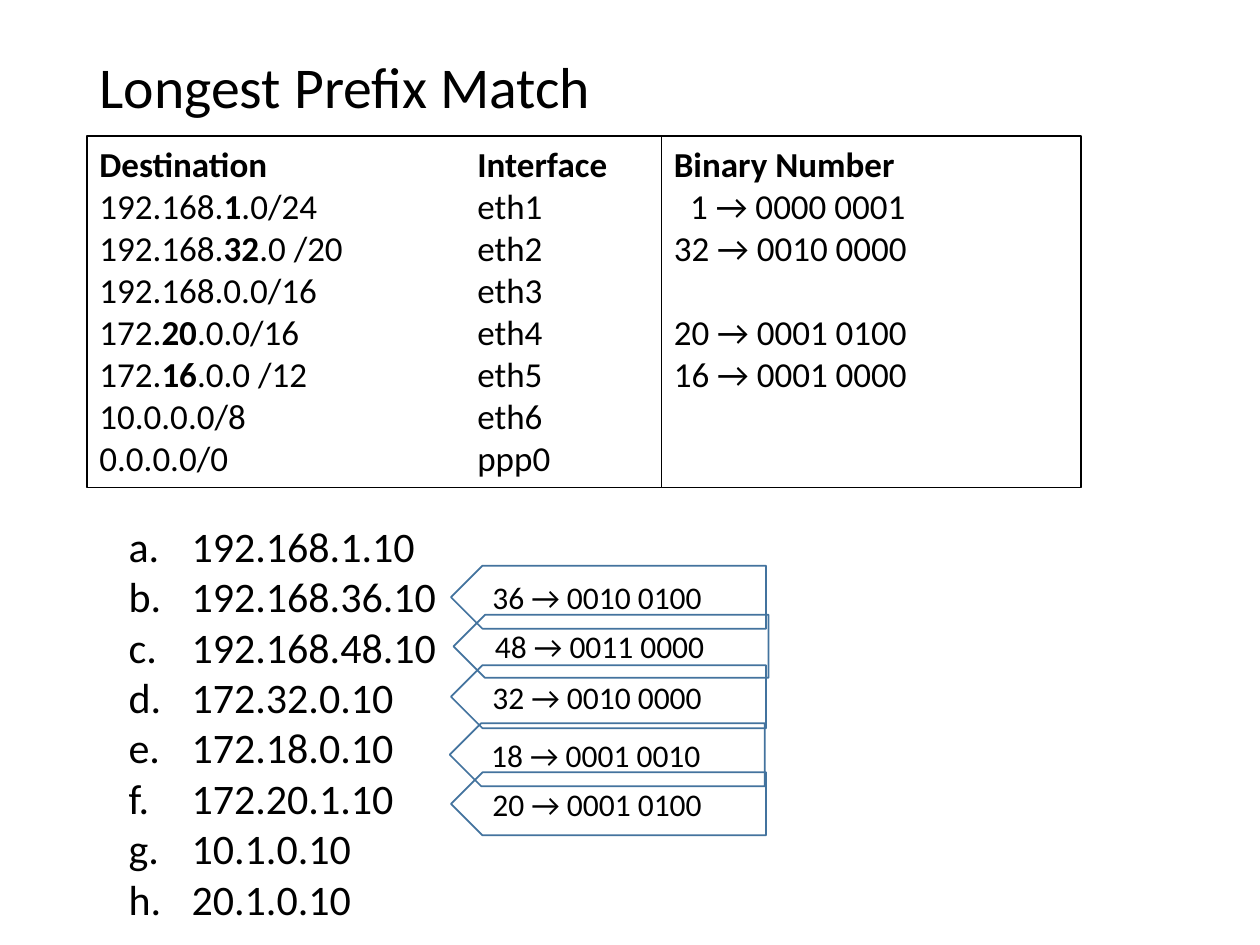
from dataclasses import dataclass

from lxml.etree import SubElement
from pptx import Presentation
from pptx.dml.color import RGBColor
from pptx.enum.shapes import MSO_SHAPE
from pptx.enum.text import MSO_ANCHOR, MSO_AUTO_SIZE, PP_ALIGN
from pptx.oxml.ns import qn
from pptx.util import Inches, Pt


@dataclass(frozen=True)
class Theme:
    font: str = "Calibri"
    text: RGBColor = RGBColor(0, 0, 0)
    paper: RGBColor = RGBColor(255, 255, 255)
    callout: RGBColor = RGBColor(0x43, 0x73, 0x9E)
    title: Pt = Pt(33)
    answer: Pt = Pt(24)
    table: Pt = Pt(20)
    note: Pt = Pt(18)
    line: Pt = Pt(1)


theme = Theme()


def write(p, text, size, bold=False):
    p.alignment = PP_ALIGN.LEFT
    for i, part in enumerate(text.split("*")):
        if part:
            r = p.add_run()
            r.text = part
            r.font.name = theme.font
            r.font.size = size
            r.font.color.rgb = theme.text
            r.font.bold = bold or i % 2 == 1


def add_outline(shapes, kind, left, top, width, height, color):
    sp = shapes.add_shape(kind, Inches(left), Inches(top), Inches(width), Inches(height))
    sp.shadow.inherit = False
    sp.fill.background()
    sp.line.color.rgb = color
    sp.line.width = theme.line
    return sp


prs = Presentation()
prs.slide_width, prs.slide_height = Inches(10), Inches(7.5)
s = prs.slides.add_slide(prs.slide_layouts[1])

title = s.shapes.title
title.left, title.top = Inches(0.69), Inches(0.25)
title.width, title.height = Inches(8.62), Inches(0.93)
tf = title.text_frame
tf.auto_size = MSO_AUTO_SIZE.NONE
tf.vertical_anchor = MSO_ANCHOR.MIDDLE
tf.paragraphs[0].line_spacing = 0.9
write(tf.paragraphs[0], "Longest Prefix Match", theme.title)

body = s.placeholders[1]
body.left, body.top = Inches(0.92), Inches(4.08)
body.width, body.height = Inches(2.66), Inches(3.33)
tf = body.text_frame
tf.auto_size = MSO_AUTO_SIZE.NONE
tf.word_wrap = False
addresses = ["192.168.1.10", "192.168.36.10", "192.168.48.10", "172.32.0.10",
             "172.18.0.10", "172.20.1.10", "10.1.0.10", "20.1.0.10"]
for i, address in enumerate(addresses):
    p = tf.paragraphs[0] if i == 0 else tf.add_paragraph()
    p.space_before = Pt(0)
    write(p, address, theme.answer)
    pPr = p._p.get_or_add_pPr()
    pPr.set("marL", str(Inches(0.5)))
    pPr.set("indent", str(Inches(-0.5)))
    SubElement(pPr, qn("a:buFont"), typeface="+mj-lt")
    SubElement(pPr, qn("a:buAutoNum"), type="alphaLcPeriod")

routes = [("Destination", "Interface"), ("192.168.*1*.0/24", "eth1"),
          ("192.168.*32*.0 /20", "eth2"), ("192.168.0.0/16", "eth3"),
          ("172.*20*.0.0/16", "eth4"), ("172.*16*.0.0 /12", "eth5"),
          ("10.0.0.0/8", "eth6"), ("0.0.0.0/0", "ppp0")]
sp = add_outline(s.shapes, MSO_SHAPE.RECTANGLE, 0.69, 1.08, 4.98, 2.79, theme.text)
tf = sp.text_frame
tf.vertical_anchor = MSO_ANCHOR.TOP
for i, route in enumerate(routes):
    p = tf.paragraphs[0] if i == 0 else tf.add_paragraph()
    write(p, "\t".join(route), theme.table, bold=i == 0)
    tabs = SubElement(p._p.get_or_add_pPr(), qn("a:tabLst"))
    SubElement(tabs, qn("a:tab"), pos=str(Inches(3)), algn="l")

sp = add_outline(s.shapes, MSO_SHAPE.RECTANGLE, 5.25, 1.08, 3.33, 2.79, theme.text)
sp.fill.solid()
sp.fill.fore_color.rgb = theme.paper
tf = sp.text_frame
tf.vertical_anchor = MSO_ANCHOR.TOP
binaries = [("Binary Number", 0, 0), ("1 → 0000 0001", 0.13, 0),
            ("32 → 0010 0000", 0, 0), ("20 → 0001 0100", 0, 24),
            ("16 → 0001 0000", 0, 0)]
for i, (text, indent, gap) in enumerate(binaries):
    p = tf.paragraphs[0] if i == 0 else tf.add_paragraph()
    p.space_before = Pt(gap)
    write(p, text, theme.table, bold=i == 0)
    p._p.get_or_add_pPr().set("marL", str(Inches(indent)))

callouts = [("32 → 0010 0000", 3.58, 5.28), ("48 → 0011 0000", 3.6, 4.88),
            ("36 → 0010 0100", 3.58, 4.49), ("18 → 0001 0010", 3.57, 5.74),
            ("20 → 0001 0100", 3.58, 6.13)]
for text, left, top in callouts:
    group = s.shapes.add_group_shape()
    sp = add_outline(group.shapes, MSO_SHAPE.PENTAGON, left, top, 2.5, 0.5, theme.callout)
    sp._element.spPr.find(qn("a:xfrm")).set("flipH", "1")
    box = group.shapes.add_textbox(Inches(left + 0.23), Inches(top + 0.05), Inches(2.03), Inches(0.4))
    box.text_frame.word_wrap = True
    write(box.text_frame.paragraphs[0], text, theme.note)

prs.save("out.pptx")
